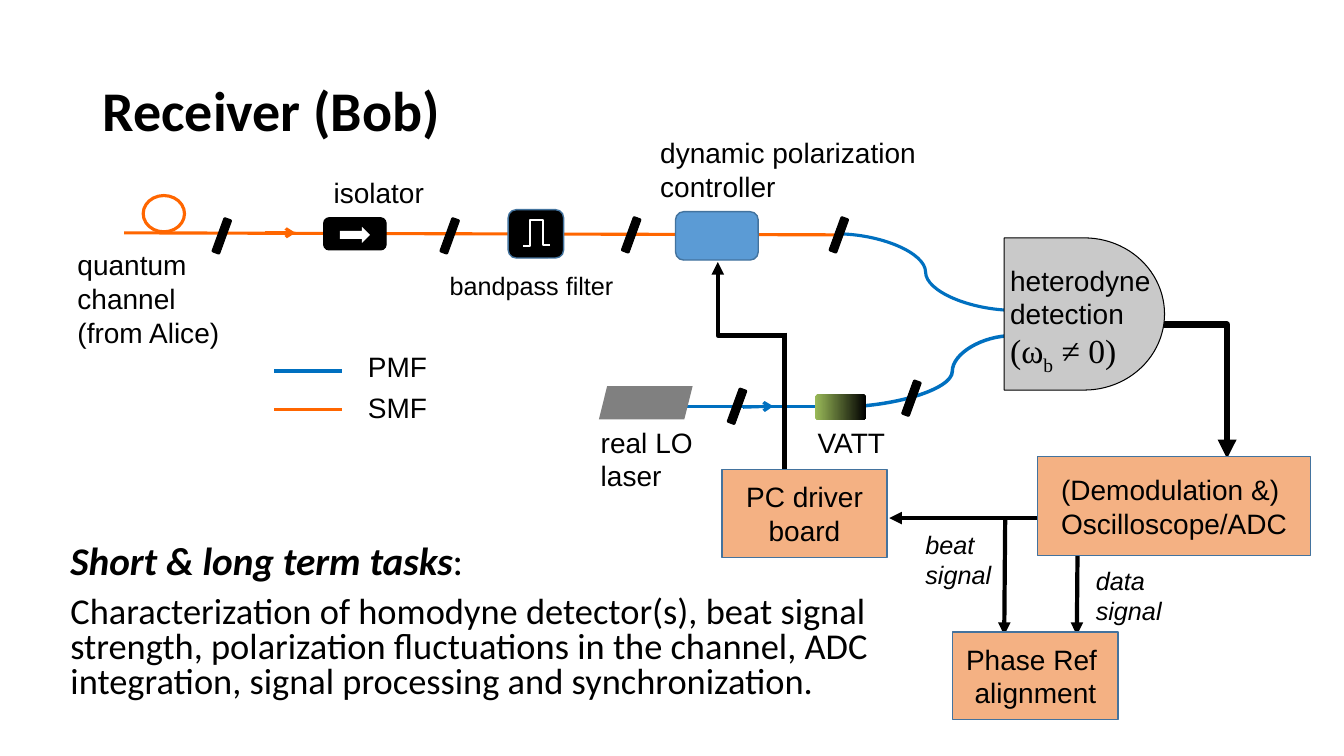
from lxml.etree import SubElement
from pptx import Presentation
from pptx.dml.color import RGBColor
from pptx.enum.shapes import MSO_CONNECTOR, MSO_SHAPE
from pptx.enum.text import MSO_ANCHOR, PP_ALIGN
from pptx.oxml.ns import qn
from pptx.util import Inches, Pt

COLS, ROWS = 133.3, 75
BLACK, WHITE = "000000", "FFFFFF"
PMF, SMF = "0070C0", "FF6600"
BOX_FILL, BOX_LINE = "F4B183", "43739E"


def rgb(code):
    return RGBColor.from_string(code)


class Diagram:
    """Draws on one blank slide; all lengths are grid columns and rows."""

    def __init__(self):
        self.prs = Presentation()
        self.prs.slide_width, self.prs.slide_height = Inches(13.33), Inches(7.5)
        self.s = self.prs.slides.add_slide(self.prs.slide_layouts[6])

    def x(self, cols):
        return round(self.prs.slide_width * cols / COLS)

    def y(self, rows):
        return round(self.prs.slide_height * rows / ROWS)

    def area(self, col, row, w, h):
        return self.x(col), self.y(row), self.x(w), self.y(h)

    def style(self, p, size=20, font="Arial", bold=False, italic=False):
        for r in p.runs:
            f = r.font
            f.size, f.name, f.bold, f.italic = Pt(size), font, bold, italic
            f.color.rgb = rgb(BLACK)

    def text(self, at, words, wrap=False, **look):
        tf = self.s.shapes.add_textbox(*self.area(*at)).text_frame
        tf.word_wrap = wrap
        tf.text = words
        for p in tf.paragraphs:
            self.style(p, **look)
        return tf

    def shape(self, kind, at, fill=None, line=None, weight=1.0, adj=None, turn=0):
        sp = self.s.shapes.add_shape(kind, *self.area(*at))
        sp.shadow.inherit = False
        sp.rotation = turn
        if adj is not None:
            sp.adjustments[0] = adj
        if fill:
            sp.fill.solid()
            sp.fill.fore_color.rgb = rgb(fill)
        else:
            sp.fill.background()
        if line:
            sp.line.color.rgb = rgb(line)
            sp.line.width = Pt(weight)
        else:
            sp.line.fill.background()
        return sp

    def box(self, at, words):
        sp = self.shape(MSO_SHAPE.RECTANGLE, at, BOX_FILL, BOX_LINE)
        tf = sp.text_frame
        tf.word_wrap = False
        tf.vertical_anchor = MSO_ANCHOR.MIDDLE
        tf.text = words
        for p in tf.paragraphs:
            p.alignment = PP_ALIGN.CENTER
            self.style(p)

    def bar(self, col, row):
        """Slanted fibre splice."""
        self.shape(MSO_SHAPE.ROUNDED_RECTANGLE, (col, row, 3.6, 0.8),
                   BLACK, BLACK, 0.75, turn=290)

    def line(self, start, end, color=BLACK, weight=3, arrow=None,
             kind=MSO_CONNECTOR.STRAIGHT, preset=None, adj=None):
        c = self.s.shapes.add_connector(kind, self.x(start[0]), self.y(start[1]),
                                        self.x(end[0]), self.y(end[1]))
        c.line.color.rgb = rgb(color)
        c.line.width = Pt(weight)
        spPr = c._element.spPr
        SubElement(spPr, qn("a:effectLst"))
        if arrow:
            SubElement(c.line._get_or_add_ln(), qn("a:tailEnd"), type=arrow)
        geom = spPr.find(qn("a:prstGeom"))
        if preset:
            geom.set("prst", preset)
        if adj:
            SubElement(geom.find(qn("a:avLst")), qn("a:gd"),
                       name="adj1", fmla=f"val {round(adj * 100000)}")


def draw_fibres(d):
    d.line((66.5, 40.3), (84.1, 40.3), PMF, 2.25)
    d.line((12.3, 23.1), (83.2, 23.3), SMF, 2.25)
    d.line((100.7, 30.8), (82.9, 23.2), PMF, 2.25, kind=MSO_CONNECTOR.CURVE)
    d.line((82.9, 40.4), (100.4, 33.3), PMF, 2.5, kind=MSO_CONNECTOR.CURVE, adj=0.66)
    d.line((26.3, 23.1), (29.3, 23.1), SMF, 2.25, "arrow")
    d.line((73.7, 40.4), (76.7, 40.3), PMF, 2.25, "arrow")
    d.shape(MSO_SHAPE.OVAL, (14.2, 19.4, 4.1, 3.6), line=SMF, weight=2.25)


def draw_components(d):
    rounded = MSO_SHAPE.ROUNDED_RECTANGLE
    d.shape(MSO_SHAPE.FLOWCHART_DELAY, (99.6, 23.6, 15.9, 15.1), "C9C9C9", BLACK, 0.75)
    d.shape(MSO_SHAPE.PARALLELOGRAM, (59.4, 38.3, 9.3, 3.3), "808080", adj=0.25)
    vatt = d.shape(rounded, (80.8, 39.1, 5.1, 2.6))
    vatt.fill.gradient()
    vatt.fill.gradient_angle = 0
    for stop, color in zip(vatt.fill.gradient_stops, ("9BBB59", BLACK)):
        stop.color.rgb = rgb(color)

    d.shape(rounded, (32.1, 21.6, 6.2, 3.2), BLACK, BLACK, 0.75)
    d.shape(MSO_SHAPE.RIGHT_ARROW, (33.7, 22.5, 3, 1.6), WHITE)
    d.shape(rounded, (50.4, 20.8, 5.5, 4.8), BLACK, BOX_LINE)
    elbow = MSO_CONNECTOR.ELBOW
    d.line((51.9, 24.4), (53.3, 21.8), WHITE, 1.5, kind=elbow)
    d.line((53.3, 21.8), (54.5, 24.3), WHITE, 1.5, kind=elbow, adj=0.46)
    d.shape(rounded, (67, 21, 8.2, 4.8), "5B9BD5", BOX_LINE)


def draw_signals(d):
    corner = dict(arrow="triangle", kind=MSO_CONNECTOR.ELBOW, preset="bentConnector2")
    d.line((112.9, 32.2), (121.7, 45.5), weight=4.5, **corner)
    d.line((77.8, 33.3), (71.2, 26), **corner)
    d.line((77.8, 33), (77.8, 49.4))
    d.line((106.9, 51.4), (88.2, 51.4), arrow="triangle")
    for top, bottom in ((99.7, 99.6), (106.9, 106.8)):
        d.line((top, 51.4), (bottom, 63), arrow="triangle")
    d.box((102.9, 45.3, 27.1, 9.8), "(Demodulation &) \nOscilloscope/ADC")
    d.box((71.6, 46.6, 16.4, 8.7), "PC driver\nboard")
    d.box((94.5, 62.7, 16.4, 8.7), "Phase Ref \nalignment")


def draw_labels(d):
    for at, words in (
        ((58.6, 41.7, 12.1, 7.7), "real LO\nlaser"),
        ((80.1, 41.7, 9.5, 4.6), "VATT"),
        ((64.5, 13, 30, 7.6), "dynamic polarization\ncontroller"),
        ((32.1, 16.9, 12.8, 4.3), "isolator"),
        ((6.7, 24.1, 18, 8.6), "quantum\nchannel\n(from Alice)"),
    ):
        d.text(at, words)
    d.text((43.6, 26.3, 19.1, 4), "bandpass filter", size=18)
    d.text((90.8, 52, 8.6, 7.1), "beat\nsignal", size=18, italic=True)
    d.text((107.7, 55.6, 8.6, 7.1), "data\nsignal", size=18, italic=True)

    tf = d.text((99.2, 25.6, 18.1, 15.1), "heterodyne detection", wrap=True)
    p = tf.add_paragraph()
    for part in ("(ω", "b", " ≠ 0)"):
        p.add_run().text = part
    d.style(p, 24, "Times New Roman")
    p.runs[1].font._element.set("baseline", "-25000")

    for row, color in ((36.8, PMF), (40.6, SMF)):
        d.line((27.2, row), (33.9, row), color, 2.25)
    legend = d.text((35.5, 34.2, 12.8, 9.1), "PMF\nSMF")
    legend.paragraphs[1].space_before = Pt(5)


def draw_copy(d):
    title = d.text((9.2, 4, 115, 14.5), "Receiver (Bob)", wrap=True,
                   size=40, font="Calibri", bold=True)
    title.vertical_anchor = MSO_ANCHOR.MIDDLE
    title.paragraphs[0].line_spacing = 0.9
    tasks = d.text(
        (6, 53.6, 89.2, 17.6),
        "Short & long term tasks\nCharacterization of homodyne detector(s), beat signal "
        "strength, polarization fluctuations in the channel, ADC integration, "
        "signal processing and synchronization.",
        wrap=True, size=26, font="Calibri")
    heading, body = tasks.paragraphs
    heading.add_run().text = ":"
    d.style(heading, 28, "Calibri")
    heading.runs[0].font.bold = heading.runs[0].font.italic = True
    heading.line_spacing = body.line_spacing = 0.8
    body.space_before = Pt(10)


def main():
    d = Diagram()
    draw_fibres(d)
    draw_signals(d)
    draw_components(d)
    draw_labels(d)
    for col, row in ((20.2, 23), (42.8, 23), (60.8, 22.9),
                     (81.4, 22.9), (88.6, 39.1), (71.3, 39.9)):
        d.bar(col, row)
    draw_copy(d)
    d.prs.save("out.pptx")


if __name__ == "__main__":
    main()
